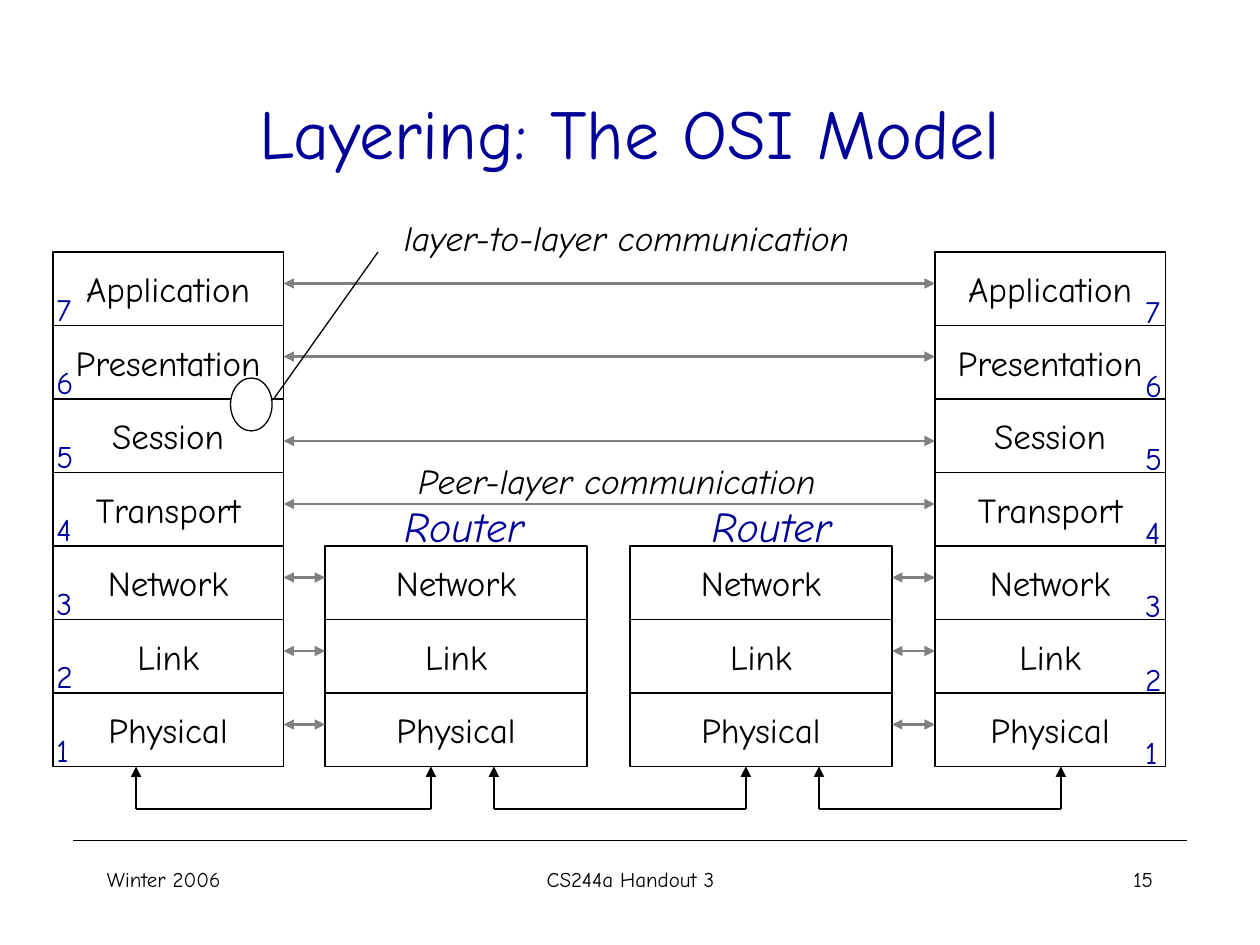
"""Build a slide comparing the seven OSI layers of two hosts and two routers."""
from dataclasses import dataclass

from lxml.etree import SubElement
from pptx import Presentation
from pptx.dml.color import RGBColor
from pptx.enum.shapes import MSO_CONNECTOR, MSO_SHAPE
from pptx.enum.text import MSO_ANCHOR, MSO_AUTO_SIZE, PP_ALIGN
from pptx.oxml.ns import qn
from pptx.util import Inches, Pt

FONT = "Comic Neue"
BLACK, WHITE, GRAY, BLUE = "000000", "FFFFFF", "808080", "000099"
LAYERS = ["Application", "Presentation", "Session", "Transport", "Network", "Link", "Physical"]
TOP, ROW = 2, 7 / 12
STACK_BOTTOM = TOP + ROW * len(LAYERS)
CABLE = 6.42


@dataclass
class Stack:
    left: float
    width: float
    first_layer: int

    @property
    def right(self) -> float:
        return self.left + self.width


@dataclass
class Label:
    text: str
    left: float
    top: float
    width: float
    height: float
    size: float
    color: str = BLACK
    italic: bool = False
    align: PP_ALIGN = PP_ALIGN.LEFT
    wrap: bool = False


LEFT_HOST = Stack(0.42, 1.83, 0)
LEFT_ROUTER = Stack(2.58, 2.08, 4)
RIGHT_ROUTER = Stack(5, 2.08, 4)
RIGHT_HOST = Stack(7.42, 1.83, 0)
STACKS = [LEFT_HOST, LEFT_ROUTER, RIGHT_ROUTER, RIGHT_HOST]
CABLES = [(1.08, 3.42), (3.92, 5.92), (6.5, 8.42)]
FOOTERS = [
    Label("Winter 2006", 0.75, 6.83, 2.08, 0.5, 12, wrap=True),
    Label("CS244a Handout 3", 3.42, 6.83, 3.17, 0.5, 12, align=PP_ALIGN.CENTER, wrap=True),
    Label("15", 7.17, 6.83, 2.08, 0.5, 12, align=PP_ALIGN.RIGHT, wrap=True),
]
CAPTIONS = [
    Label("Peer-layer communication", 3.22, 3.6, 3.37, 0.44, 20, italic=True),
    Label("layer-to-layer communication", 3.11, 1.67, 3.75, 0.44, 20, italic=True),
    Label("Router", 3.11, 3.92, 1.15, 0.5, 24, BLUE, True),
    Label("Router", 5.55, 3.92, 1.15, 0.5, 24, BLUE, True),
]


def rgb(color: str) -> RGBColor:
    return RGBColor.from_string(color)


def layer_top(index: int) -> float:
    return TOP + index * ROW


def write(frame, text: str, size: float, color: str, align: PP_ALIGN, italic: bool = False) -> None:
    para = frame.paragraphs[0]
    para.alignment = align
    span = para.add_run()
    span.text = text
    span.font.name = FONT
    span.font.size = Pt(size)
    span.font.italic = italic
    span.font.color.rgb = rgb(color)


def add_title(page, text: str) -> None:
    title = page.shapes.title
    title.left, title.top = Inches(0.75), Inches(0.67)
    title.width, title.height = Inches(8.5), Inches(0.75)
    title.text_frame.auto_size = MSO_AUTO_SIZE.NONE
    title.text_frame.vertical_anchor = MSO_ANCHOR.MIDDLE
    write(title.text_frame, text, 40, BLUE, PP_ALIGN.CENTER)


def add_label(page, label: Label) -> None:
    box = page.shapes.add_textbox(
        Inches(label.left), Inches(label.top), Inches(label.width), Inches(label.height))
    frame = box.text_frame
    frame.word_wrap = label.wrap
    frame.auto_size = MSO_AUTO_SIZE.NONE if label.wrap else MSO_AUTO_SIZE.SHAPE_TO_FIT_TEXT
    write(frame, label.text, label.size, label.color, label.align, label.italic)


def add_outlined(page, kind: MSO_SHAPE, left: float, top: float, width: float, height: float):
    shape = page.shapes.add_shape(
        kind, Inches(left), Inches(top), Inches(width), Inches(height))
    shape.shadow.inherit = False
    shape.fill.solid()
    shape.fill.fore_color.rgb = rgb(WHITE)
    shape.line.color.rgb = rgb(BLACK)
    shape.line.width = Pt(0.75)
    return shape


def add_stack(page, stack: Stack) -> None:
    for index in range(stack.first_layer, len(LAYERS)):
        box = add_outlined(
            page, MSO_SHAPE.RECTANGLE, stack.left, layer_top(index), stack.width, ROW)
        box.text_frame.word_wrap = False
        box.text_frame.vertical_anchor = MSO_ANCHOR.MIDDLE
        write(box.text_frame, LAYERS[index], 20, BLACK, PP_ALIGN.CENTER)


def add_line(page, start: tuple[float, float], end: tuple[float, float], color: str = BLACK,
             width: float = 0.75, arrow_ends: tuple[str, ...] = ()) -> None:
    line = page.shapes.add_connector(
        MSO_CONNECTOR.STRAIGHT, *(Inches(value) for value in (*start, *end)))
    line.line.color.rgb = rgb(color)
    line.line.width = Pt(width)
    properties = line._element.spPr
    for arrow_end in arrow_ends:
        SubElement(properties.find(qn("a:ln")), qn(f"a:{arrow_end}"), type="triangle")
    SubElement(properties, qn("a:effectLst"))


def add_peer_arrow(page, left: float, right: float, height: float) -> None:
    add_line(page, (left, height), (right, height), GRAY, 1.5, ("headEnd", "tailEnd"))


def add_peer_arrows(page) -> None:
    for height in (2.25, 2.83, 3.5, 4):
        add_peer_arrow(page, LEFT_HOST.right, RIGHT_HOST.left, height)
    for index in range(LEFT_ROUTER.first_layer, len(LAYERS)):
        height = layer_top(index) + 0.25
        add_peer_arrow(page, LEFT_HOST.right, LEFT_ROUTER.left, height)
        add_peer_arrow(page, RIGHT_ROUTER.right, RIGHT_HOST.left, height)


def add_cable(page, left: float, right: float) -> None:
    add_line(page, (left, CABLE), (right, CABLE), width=1.5)
    for x in (left, right):
        add_line(page, (x, CABLE), (x, STACK_BOTTOM), width=1.5, arrow_ends=("tailEnd",))


def add_numbers(page, left: float, offset: float) -> None:
    for index in range(len(LAYERS)):
        number = str(len(LAYERS) - index)
        width = 0.3 if number == "1" else 0.33
        add_label(page, Label(number, left, layer_top(index) + offset, width, 0.4, 18, BLUE))


def main() -> None:
    deck = Presentation()
    deck.slide_width, deck.slide_height = Inches(10), Inches(7.5)
    page = deck.slides.add_slide(deck.slide_layouts[5])
    add_line(page, (0.58, 6.67), (9.42, 6.67))
    add_title(page, "Layering: The OSI Model")
    for stack in STACKS:
        add_stack(page, stack)
    add_peer_arrows(page)
    for left, right in CABLES:
        add_cable(page, left, right)
    add_outlined(page, MSO_SHAPE.OVAL, 1.83, 3, 0.33, 0.42)
    add_line(page, (2.17, 3.17), (3, 2))
    for label in FOOTERS + CAPTIONS:
        add_label(page, label)
    add_numbers(page, 0.35, 0.25)
    add_numbers(page, 8.99, 0.27)
    deck.save("out.pptx")


if __name__ == "__main__":
    main()
